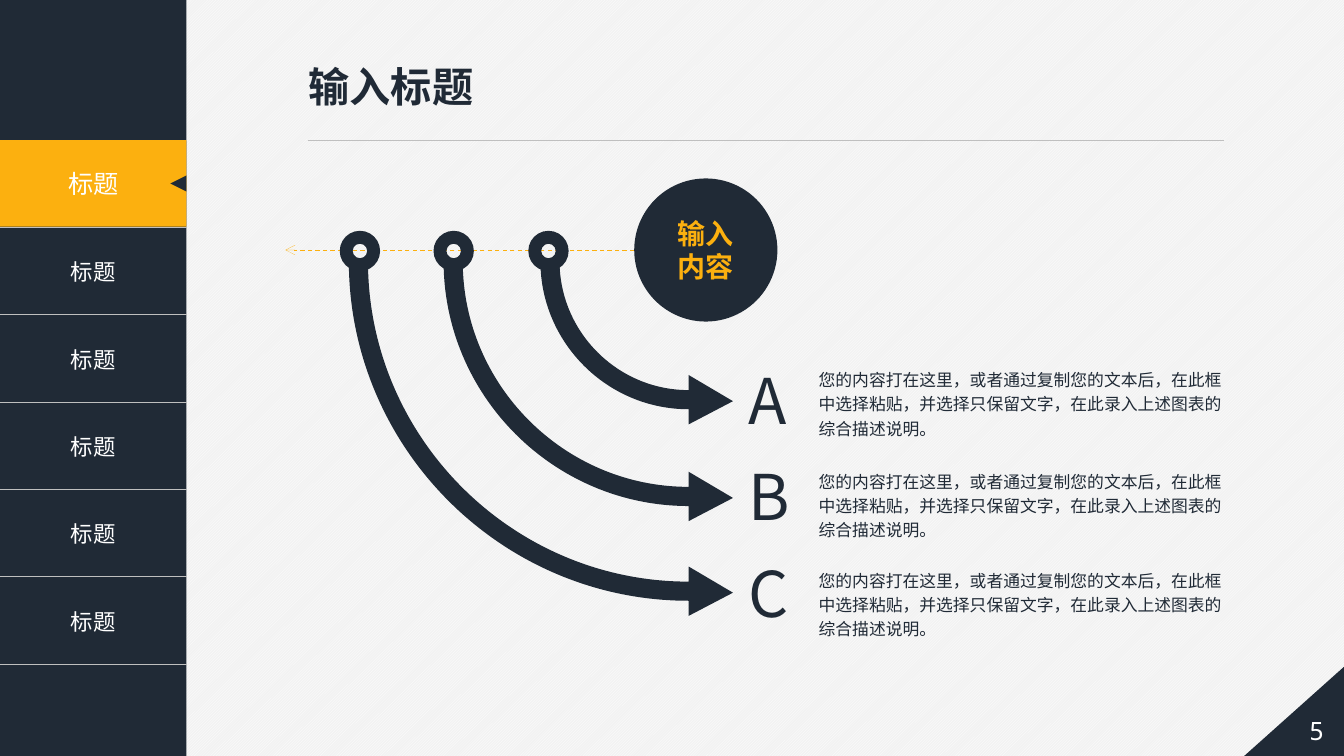
import pptx
import pptx.dml.color
import pptx.enum.dml
import pptx.enum.shapes
import pptx.enum.text
import pptx.oxml
import pptx.oxml.ns
import pptx.util

Inches, Pt = pptx.util.Inches, pptx.util.Pt
KIND = pptx.enum.shapes.MSO_SHAPE
ANCHOR = pptx.enum.text.MSO_ANCHOR
ALIGN = pptx.enum.text.PP_ALIGN
FIT = pptx.enum.text.MSO_AUTO_SIZE
SPACE = pptx.oxml.ns.nsdecls("a")

COLORS = {"navy": "202A36", "gold": "FCB00F", "grey": "BFBFBF",
          "pale": "F2F2F2", "white": "FFFFFF"}
FONT = "Noto Sans CJK SC"
TITLE = "输入标题"
TABS = ["标题"] * 6
HUB = ["输入", "内容"]
BODY = ("您的内容打在这里，或者通过复制您的文本后，在此框中选择粘贴，"
        "并选择只保留文字，在此录入上述图表的综合描述说明。")
# letter, letter width, ring left, arc radius, letter top, body top
ITEMS = [
    ("A", 0.61, 5.24, 1.47, 3.54, 3.59),
    ("B", 0.56, 4.30, 2.43, 4.49, 4.60),
    ("C", 0.59, 3.37, 3.37, 5.46, 5.58),
]
PAGE = "5"

SIDE = 1.85          # sidebar width
TOP, TALL = 1.39, 5.2
ARC_X, ARC_Y = 6.83, 2.59
BAND = 0.19          # arrow thickness
BEND = 0.55          # Bezier handle of a quarter circle


def color(name):
    return pptx.dml.color.RGBColor.from_string(COLORS[name])


def write(frame, text, size, tint="navy", font=FONT, bold=False, align=ALIGN.LEFT,
          anchor=ANCHOR.MIDDLE, pad=(0.1, 0.05), wrap=True, space=None):
    """Fill a text frame or table cell; a list gives one paragraph per entry."""
    body = getattr(frame, "text_frame", frame)
    body.word_wrap = wrap
    frame.vertical_anchor = anchor
    frame.margin_left = frame.margin_right = Inches(pad[0])
    frame.margin_top = frame.margin_bottom = Inches(pad[1])
    lines = [text] if isinstance(text, str) else text
    for i, line in enumerate(lines):
        para = body.add_paragraph() if i else body.paragraphs[0]
        para.alignment = align
        if space:
            para.line_spacing = space
        run = para.add_run()
        run.text = line
        run.font.size, run.font.bold, run.font.name = Pt(size), bold, font
        run.font.color.rgb = color(tint)
        run.font._element.append(
            pptx.oxml.parse_xml(f'<a:ea {SPACE} typeface="{font}"/>'))


def paint(shape, tint=None):
    shape.shadow.inherit = False
    shape.line.fill.background()
    if tint:
        shape.fill.solid()
        shape.fill.fore_color.rgb = color(tint)
    else:
        shape.fill.background()
    return shape


def block(slide, kind, box, tint=None):
    return paint(slide.shapes.add_shape(kind, *map(Inches, box)), tint)


def label(slide, box, text, size, **form):
    frame = slide.shapes.add_textbox(*map(Inches, box)).text_frame
    write(frame, text, size, pad=(0.08, 0.04), **form)
    frame.auto_size = FIT.SHAPE_TO_FIT_TEXT


def rule(slide, start, end, tint, width):
    line = slide.shapes.add_connector(
        pptx.enum.shapes.MSO_CONNECTOR.STRAIGHT, *map(Inches, start + end))
    line.line.color.rgb = color(tint)
    line.line._get_or_add_ln().set("w", str(int(Pt(width))))
    line._element.spPr.append(pptx.oxml.parse_xml(f"<a:effectLst {SPACE}/>"))
    return line


def edge(cell, side, tint=None):
    fill = (f'<a:solidFill><a:srgbClr val="{COLORS[tint]}"/></a:solidFill>'
            if tint else "<a:noFill/>")
    cell._tc.get_or_add_tcPr().append(pptx.oxml.parse_xml(
        f'<a:ln{side} {SPACE} w="12700">{fill}</a:ln{side}>'))


def flip(shape):
    shape._element.spPr.xfrm.set("flipH", "1")


def curve(shape, step, spots):
    """Turn one straight step of a freeform into a Bezier through spots."""
    places = "".join(
        f'<a:pt x="{Inches(x) - shape.left}" y="{Inches(y) - shape.top}"/>'
        for x, y in spots)
    step.getparent().replace(step, pptx.oxml.parse_xml(
        f"<a:cubicBezTo {SPACE}>{places}</a:cubicBezTo>"))


def sweep(slide, radius):
    """Quarter-circle arrow that drops from the ring and points right."""
    slim = radius - BAND
    base, left = ARC_Y + radius, ARC_X - radius
    points = [(ARC_X, base), (left, ARC_Y), (left + BAND, ARC_Y),
              (ARC_X, base - BAND), (ARC_X, base - 0.34),
              (ARC_X + 0.44, base - 0.08), (ARC_X, base + 0.15)]
    first, *rest = [(Inches(x), Inches(y)) for x, y in points]
    pen = slide.shapes.build_freeform(*first)
    pen.add_line_segments(rest, close=True)
    shape = paint(pen.convert_to_shape(), "navy")
    steps = shape._element.findall(".//" + pptx.oxml.ns.qn("a:lnTo"))
    curve(shape, steps[0], [(ARC_X - BEND * radius, base),
                            (left, ARC_Y + BEND * radius), points[1]])
    curve(shape, steps[2], [(left + BAND, ARC_Y + BEND * slim),
                            (ARC_X - BEND * slim, base - BAND), points[3]])


def sidebar(slide):
    block(slide, KIND.RECTANGLE, (0, 0, SIDE, 7.5), "navy")
    table = slide.shapes.add_table(
        len(TABS), 1, 0, Inches(TOP), Inches(SIDE), Inches(TALL)).table
    table.first_row = table.horz_banding = False
    for i, name in enumerate(TABS):
        cell = table.cell(i, 0)
        for side, tint in (("L", None), ("R", None), ("T", "grey"), ("B", "grey")):
            edge(cell, side, tint)
        cell.fill.background()
        if i:
            write(cell, name, 16, tint="white", align=ALIGN.CENTER)
    tab = block(slide, KIND.RECTANGLE, (0, TOP, SIDE, 0.86), "gold")
    write(tab.text_frame, TABS[0], 18, tint="white", align=ALIGN.CENTER)
    mark = block(slide, KIND.ISOSCELES_TRIANGLE, (1.69, 1.74, 0.16, 0.16), "navy")
    mark.rotation = 270


def corner(slide):
    flip(block(slide, KIND.RIGHT_TRIANGLE, (12.33, 6.58, 1.04, 0.93), "navy"))
    page = block(slide, KIND.PENTAGON, (12.45, 6.97, 1.08, 0.55))
    flip(page)
    write(page.text_frame, PAGE, 18, tint="white", font="Noto Sans Mono",
          align=ALIGN.CENTER)


def diagram(slide):
    hub = block(slide, KIND.OVAL, (6.29, 1.77, 1.42, 1.42), "navy")
    write(hub.text_frame, HUB, 20, tint="gold", bold=True, align=ALIGN.CENTER,
          pad=(0.08, 0.04))
    axis = rule(slide, (6.29, 2.48), (2.83, 2.48), "gold", 0)
    axis.line.dash_style = pptx.enum.dml.MSO_LINE.DASH
    axis.line._get_or_add_ln().append(
        pptx.oxml.parse_xml(f'<a:tailEnd {SPACE} type="arrow"/>'))
    for letter, width, left, radius, high, low in ITEMS:
        ring = block(slide, KIND.DONUT, (left, 2.29, 0.4, 0.4), "navy")
        ring.adjustments[0] = 0.32
        sweep(slide, radius)
        label(slide, (7.34, high, width, 0.84), letter, 45, wrap=False)
        label(slide, (8.04, low, 4.24, 0.81), BODY, 12, anchor=ANCHOR.TOP, space=1.2)


def main():
    deck = pptx.Presentation()
    deck.slide_width, deck.slide_height = Inches(13.33), Inches(7.5)
    slide = deck.slides.add_slide(deck.slide_layouts[5])
    back = slide.background.fill
    back.patterned()
    back.pattern = pptx.enum.dml.MSO_PATTERN.LIGHT_UPWARD_DIAGONAL
    back.fore_color.rgb, back.back_color.rgb = color("white"), color("pale")

    title = slide.shapes.title
    title.left, title.top, title.width, title.height = map(
        Inches, (2.96, 0.56, 1.9, 0.59))
    title.text_frame.auto_size = FIT.NONE
    write(title.text_frame, TITLE, 29.4, font="Arial", bold=True,
          anchor=ANCHOR.TOP, wrap=False)

    sidebar(slide)
    rule(slide, (3.05, TOP), (12.14, TOP), "grey", 0.5)
    corner(slide)
    diagram(slide)
    deck.save("out.pptx")


if __name__ == "__main__":
    main()
